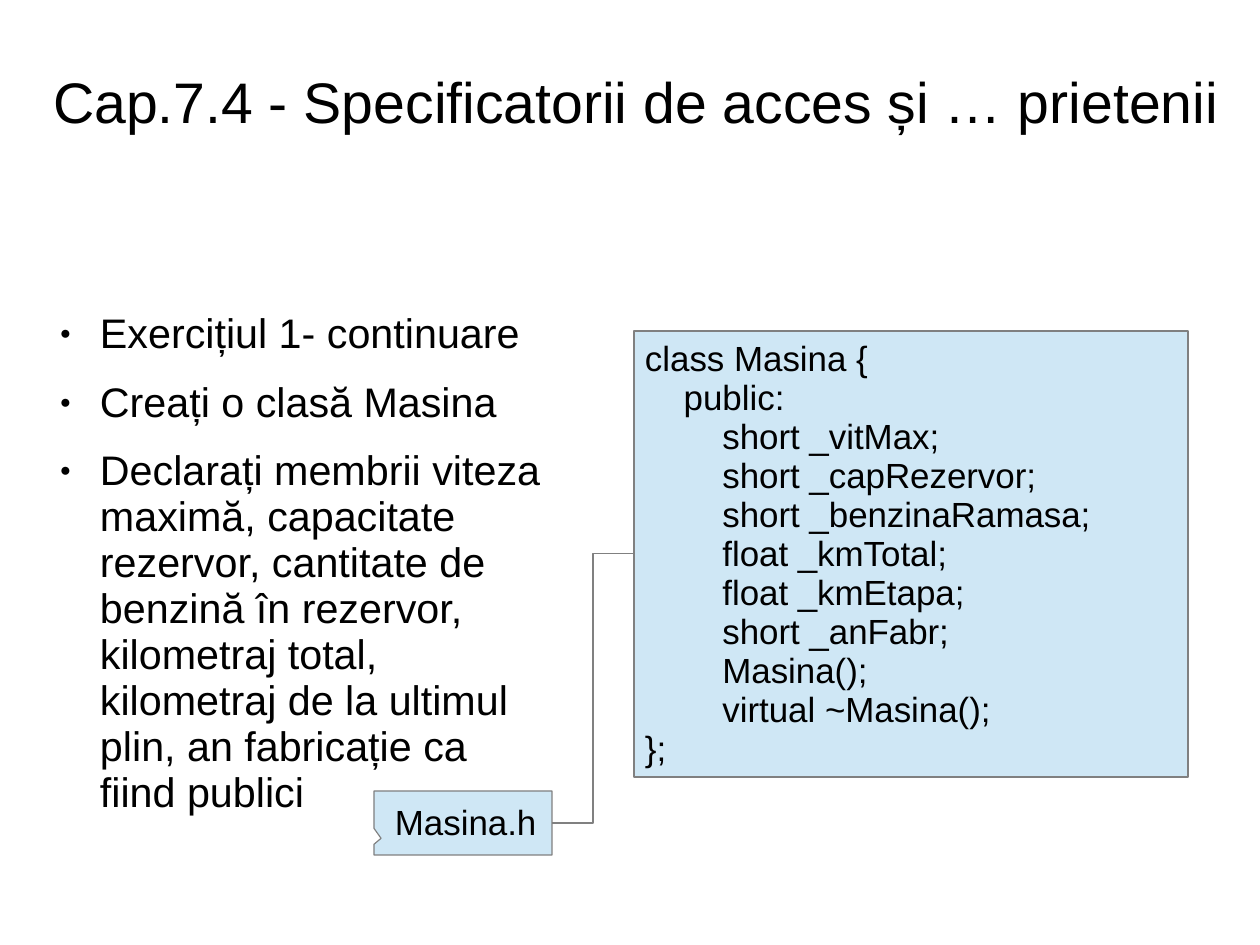
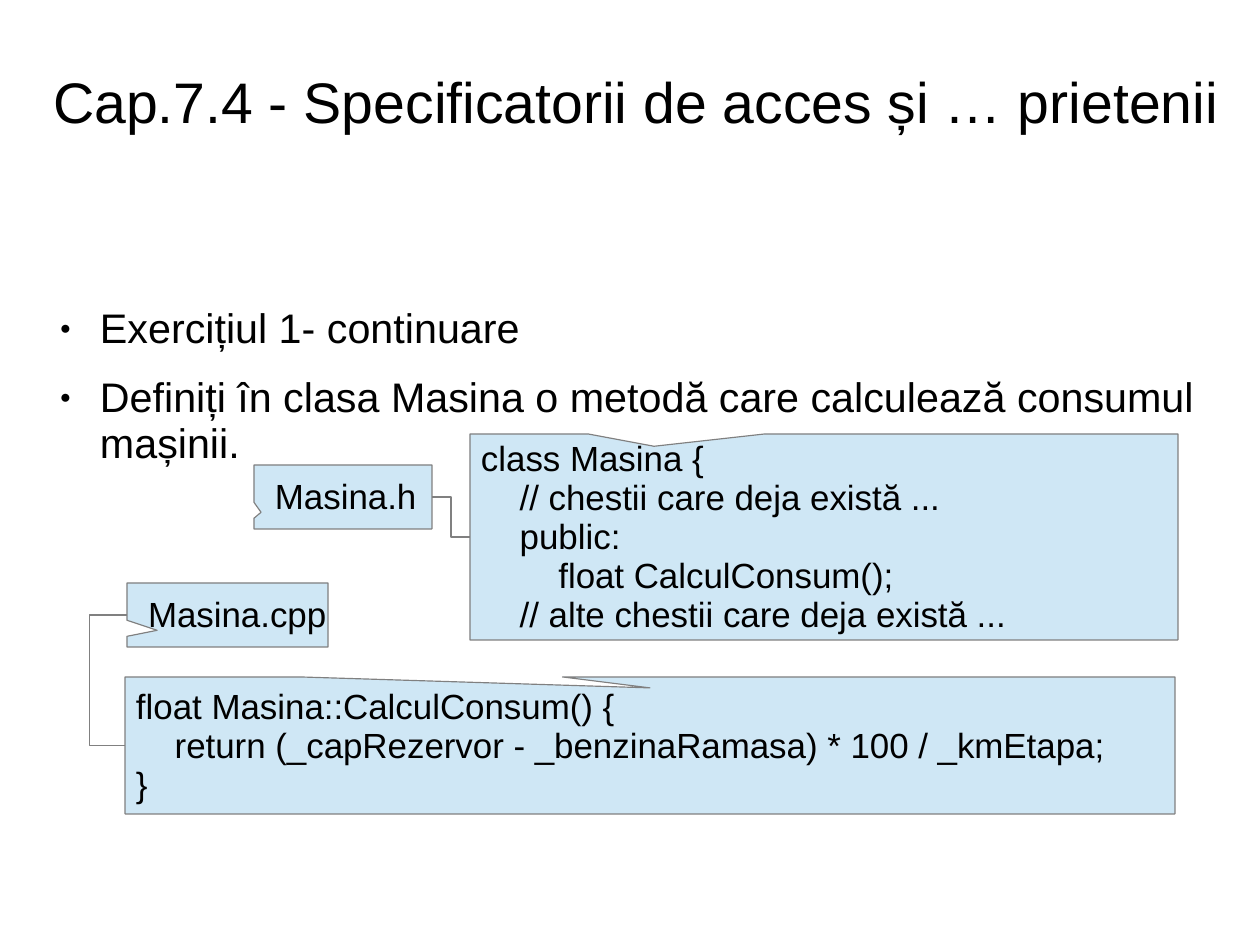
from lxml import etree
from pptx import Presentation
from pptx.dml.color import RGBColor
from pptx.enum.shapes import MSO_CONNECTOR, MSO_SHAPE
from pptx.enum.text import MSO_ANCHOR, PP_ALIGN
from pptx.oxml.ns import qn
from pptx.util import Pt

PX = 8000  # EMU
SLIDE_SIZE = (1260, 945)
CALLOUT, ELBOW = MSO_SHAPE.RECTANGULAR_CALLOUT, MSO_CONNECTOR.ELBOW
LEFT, CENTER = PP_ALIGN.LEFT, PP_ALIGN.CENTER
TOP, MIDDLE = MSO_ANCHOR.TOP, MSO_ANCHOR.MIDDLE
LEFT_SITE, RIGHT_SITE = 1, 3

FONT = "Arial"
COLORS = {"text": "000000", "callout": "CFE7F5", "outline": "808080"}
LINE_SPACING = 0.93
BULLET_INDENT, BULLET_HANG = 54, 40
LABEL_HEIGHT = 64

TITLE = "Cap.7.4 - Specificatorii de acces și … prietenii"
TITLE_AREA = (41, 32, 1190, 142)

CLASS_CODE = """class Masina {
    public:
        short _vitMax;
        short _capRezervor;
        short _benzinaRamasa;
        float _kmTotal;
        float _kmEtapa;
        short _anFabr;
        Masina();
        virtual ~Masina();
};"""
METHOD_DECLARATION = """class Masina {
    // chestii care deja există ...
    public:
        float CalculConsum();
    // alte chestii care deja există ..."""
METHOD_DEFINITION = """float Masina::CalculConsum() {
    return (_capRezervor - _benzinaRamasa) * 100 / _kmEtapa;
}"""

# label_at is (left, top, width); tips are the callout adjustments;
# bend is the connector's turning point as a share of its width.
SLIDES = [
    {
        "bullets": [
            "Exercițiul 1- continuare",
            "Creați o clasă Masina",
            "Declarați membrii viteza maximă, capacitate rezervor, cantitate de "
            "benzină în rezervor, kilometraj total, kilometraj de la ultimul plin, "
            "an fabricație ca fiind publici",
        ],
        "bullets_at": (46, 309, 503, 526),
        "files": [
            {"name": "Masina.h", "label_at": (374, 791, 178), "label_tip": (-0.46, 0.24),
             "code": CLASS_CODE, "code_at": (634, 331, 554, 446), "code_tip": (-0.2, -0.5),
             "site": RIGHT_SITE, "bend": 0.5},
        ],
    },
    {
        "bullets": [
            "Exercițiul 1- continuare",
            "Definiți în clasa Masina o metodă care calculează consumul mașinii.",
        ],
        "bullets_at": (46, 304, 1178, 176),
        "files": [
            {"name": "Masina.h", "label_at": (254, 465, 178), "label_tip": (-0.46, 0.24),
             "code": METHOD_DECLARATION, "code_at": (470, 434, 708, 206),
             "code_tip": (-0.24, -0.44), "site": RIGHT_SITE, "bend": 0.5},
            {"name": "Masina.cpp", "label_at": (127, 583, 201), "label_tip": (-0.35, 0.24),
             "code": METHOD_DEFINITION, "code_at": (125, 677, 1050, 137),
             "code_tip": (0, -0.42), "site": LEFT_SITE, "bend": 19},
        ],
    },
]


def color(name):
    return RGBColor.from_string(COLORS[name])


def emu(lengths):
    return [length * PX for length in lengths]


def write_text(shape, text, size, insets, anchor=MIDDLE, align=LEFT, wrap=True):
    """Fill the shape with text; insets are left, top, right, bottom."""
    frame = shape.text_frame
    frame.text = text
    frame.word_wrap = wrap
    frame.vertical_anchor = anchor
    (frame.margin_left, frame.margin_top,
     frame.margin_right, frame.margin_bottom) = emu(insets)
    for para in frame.paragraphs:
        para.alignment = align
        para.line_spacing = LINE_SPACING
        for span in para.runs:
            span.font.name = FONT
            span.font.size = Pt(size)
            span.font.color.rgb = color("text")


def add_bullet(para):
    properties = para._p.get_or_add_pPr()
    properties.set("marL", str(BULLET_INDENT * PX))
    properties.set("indent", str(-BULLET_HANG * PX))
    bullet_color = etree.SubElement(properties, qn("a:buClr"))
    etree.SubElement(bullet_color, qn("a:srgbClr"), val=COLORS["text"])
    etree.SubElement(properties, qn("a:buSzPct"), val="45000")
    etree.SubElement(properties, qn("a:buFont"), typeface=FONT)
    etree.SubElement(properties, qn("a:buChar"), char="●")


def add_title(page):
    box = page.shapes.add_textbox(*emu(TITLE_AREA))
    write_text(box, TITLE, 36, (0, 3, 0, 0), align=CENTER)


def add_bullets(page, items, area):
    box = page.shapes.add_textbox(*emu(area))
    write_text(box, "\n".join(items), 26, (0, 3, 0, 0), anchor=TOP)
    for para in box.text_frame.paragraphs:
        add_bullet(para)
        para.space_after = Pt(14.1)


def outline(shape):
    shape.line.color.rgb = color("outline")
    shape.line.width = Pt(0.75)


def add_callout(page, text, area, tip, insets):
    shape = page.shapes.add_shape(CALLOUT, *emu(area))
    shape.shadow.inherit = False
    shape.fill.solid()
    shape.fill.fore_color.rgb = color("callout")
    outline(shape)
    for index, value in enumerate(tip):
        shape.adjustments[index] = value
    write_text(shape, text, 22, insets, wrap=False)
    return shape


def link(page, label, code, site, bend):
    connector = page.shapes.add_connector(ELBOW, 0, 0, 0, 0)
    connector.begin_connect(label, site)
    connector.end_connect(code, LEFT_SITE)
    outline(connector)
    properties = connector._element.spPr
    etree.SubElement(properties, qn("a:effectLst"))
    guides = properties.find(qn("a:prstGeom")).find(qn("a:avLst"))
    etree.SubElement(guides, qn("a:gd"), name="adj1", fmla=f"val {round(bend * 100000)}")


def add_file(page, file):
    """Add a code callout, its file name label and the line joining them."""
    code = add_callout(page, file["code"], file["code_at"], file["code_tip"], (11, 8, 11, 6))
    label_area = (*file["label_at"], LABEL_HEIGHT)
    label = add_callout(page, file["name"], label_area, file["label_tip"], (21, 8, 0, 6))
    link(page, label, code, file["site"], file["bend"])


def main():
    deck = Presentation()
    deck.slide_width, deck.slide_height = emu(SLIDE_SIZE)
    for content in SLIDES:
        page = deck.slides.add_slide(deck.slide_layouts[6])
        add_title(page)
        add_bullets(page, content["bullets"], content["bullets_at"])
        for file in content["files"]:
            add_file(page, file)
    deck.save("out.pptx")


if __name__ == "__main__":
    main()
